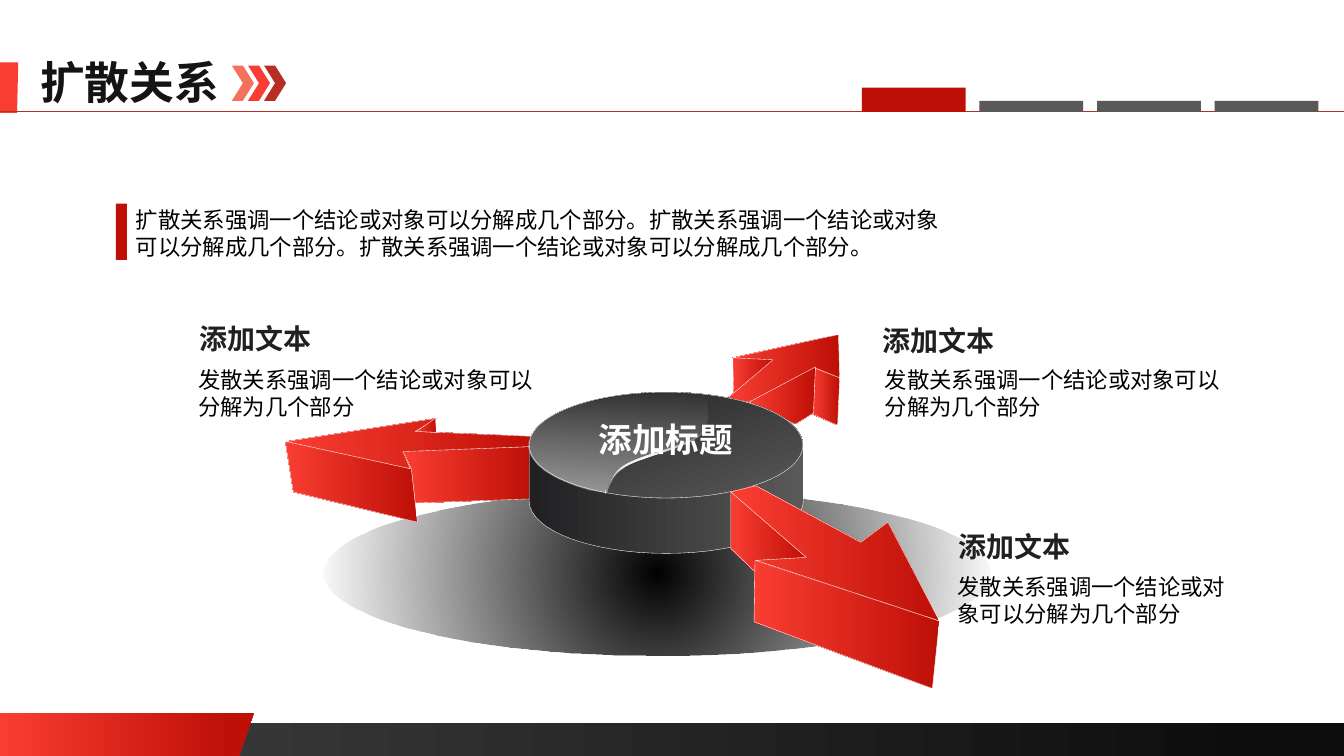
from lxml.etree import SubElement
from pptx import Presentation
from pptx.dml.color import RGBColor
from pptx.enum.shapes import MSO_CONNECTOR, MSO_SHAPE
from pptx.enum.text import MSO_AUTO_SIZE
from pptx.oxml.ns import qn
from pptx.util import Pt

THEME = {
    "font": "Noto Sans CJK SC",
    "red": "BE1007", "bright": "F93D32", "coral": "F5715B", "brick": "B82E24",
    "gray": "595959", "ink": "202022", "title_ink": "141316",
    "black": "000000", "white": "FFFFFF",
    "title": 32, "center": 24, "heading": 20, "body": 16,
    "red_stops": [(0, "BE1007", 100), (100, "F93D32", 100)],
    "tab_stops": [(0, "F93D32", 100), (91, "BE1007", 100)],
    "footer_stops": [(0, "404040", 100), (94, "0D0D0D", 100)],
    "disc_stops": [(0, "202022", 100), (100, "595959", 100)],
    "shadow_stops": [(0, "000000", 100), (100, "000000", 0)],
    "gloss_stops": [(0, "F7F7F7", 0), (100, "FFFFFF", 49)],
    "rim_stops": [(0, "F7F7F7", 0), (48, "FBFBFB", 100), (100, "FFFFFF", 49)],
}

deck = Presentation()
deck.slide_width, deck.slide_height = Pt(960), Pt(540)
page = deck.slides.add_slide(deck.slide_layouts[6])


def paint(shape, fill, angle=None, outlined=False):
    shape.shadow.inherit = False
    if outlined:
        shape.line.color.rgb = RGBColor.from_string(THEME["white"])
        shape.line.width = Pt(0.25)
    else:
        shape.line.fill.background()
    if isinstance(fill, str):
        shape.fill.solid()
        shape.fill.fore_color.rgb = RGBColor.from_string(fill)
        return
    shape.fill.gradient()
    gradient = shape._element.spPr.find(qn("a:gradFill"))
    for child in list(gradient):
        gradient.remove(child)
    stops = SubElement(gradient, qn("a:gsLst"))
    for position, color, opacity in fill:
        stop = SubElement(stops, qn("a:gs"), pos=str(position * 1000))
        tone = SubElement(stop, qn("a:srgbClr"), val=color)
        if opacity < 100:
            SubElement(tone, qn("a:alpha"), val=str(opacity * 1000))
    if angle is None:
        radial = SubElement(gradient, qn("a:path"), path="circle")
        SubElement(radial, qn("a:fillToRect"), l="50000", t="50000", r="50000", b="50000")
    else:
        SubElement(gradient, qn("a:lin"), ang=str(angle * 60000), scaled="0")


def outline(steps):
    points = [steps[0]]
    for step in steps[1:]:
        if len(step) == 2:
            points.append(step)
            continue
        corners = [points[-1], step[:2], step[2:4], step[4:]]
        for t in [index / 16 for index in range(1, 17)]:
            weights = [(1 - t) ** 3, 3 * t * (1 - t) ** 2, 3 * t * t * (1 - t), t ** 3]
            points.append(tuple(sum(w * c[axis] for w, c in zip(weights, corners)) for axis in (0, 1)))
    points = [(x * 100, y * 100) for x, y in points]
    builder = page.shapes.build_freeform(*points[0], scale=Pt(0.01))
    builder.add_line_segments(points[1:], close=True)
    return builder.convert_to_shape()


footer = page.shapes.add_shape(MSO_SHAPE.RECTANGLE, Pt(0), Pt(516.2), Pt(960), Pt(23.8))
paint(footer, THEME["footer_stops"], 0)
paint(outline([(0, 509), (181.4, 509), (170.6, 540), (0, 540)]), THEME["tab_stops"], 0)
paint(outline([(0, 44.6), (13, 44.6), (12.2, 80.6), (0, 80.6)]), THEME["bright"])

shadow = page.shapes.add_shape(MSO_SHAPE.OVAL, Pt(231.1), Pt(350.6), Pt(476.6), Pt(117.4))
paint(shadow, THEME["shadow_stops"])

rule = page.shapes.add_connector(MSO_CONNECTOR.STRAIGHT, Pt(0), Pt(79.9), Pt(960), Pt(79.9))
rule.line.color.rgb = RGBColor.from_string(THEME["brick"])
rule.line.width = Pt(0.5)
SubElement(rule._element.spPr, qn("a:effectLst"))

for index, color in enumerate(("coral", "bright", "brick")):
    chevron = page.shapes.add_shape(
        MSO_SHAPE.CHEVRON, Pt(165.6 + 11.5 * index), Pt(46.8), Pt(15.8), Pt(25.2))
    paint(chevron, THEME[color])

for index, height in enumerate((17.3, 7.9, 7.9, 7.9)):
    marker = page.shapes.add_shape(
        MSO_SHAPE.RECTANGLE, Pt(615.6 + 84 * index), Pt(79.9 - height), Pt(74.2), Pt(height))
    paint(marker, THEME["gray"] if index else THEME["red"])

back_arrows = [
    [(288, 322.6), (379.4, 319), (378.7, 323.3), (378.7, 334.8, 378.7, 345.6, 378, 356.4),
     (296.6, 359.3), (293.8, 334.8)],
    [(203.8, 315.4), (209.5, 351.4), (298.1, 373), (293.8, 334.8)],
    [(204.5, 315.4), (311.8, 298.8), (296.6, 308.2), (382.3, 311.8), (380.2, 319),
     (288, 322.6), (293, 334.8)],
    [(311, 298.8), (311.8, 308.9), (297.4, 308.2)],
    [(523.4, 255.6), (599, 239), (599.8, 270), (582.5, 262.8), (535, 287.3),
     (519.8, 284.4), (551.5, 257)],
    [(523.4, 255.6), (524.2, 280.8), (552.2, 257)],
    [(581.8, 262.8), (580.3, 295.9), (598.3, 303.8), (599.8, 270)],
    [(582.5, 262.1), (535, 287.3), (568.1, 303.1), (581, 295.2)],
]
for face in back_arrows:
    paint(outline(face), THEME["red_stops"], 180, True)

disc_side = [
    (378, 319.7), (378.7, 319.7), (378.7, 321.8),
    (383.8, 340.6, 425.5, 355.7, 475.9, 355.7), (526.3, 355.7, 568.1, 340.6, 573.1, 321.8),
    (573.1, 319.7), (573.8, 319.7), (573.8, 357.8),
    (573.8, 378.7, 529.9, 395.3, 475.9, 395.3), (421.9, 395.3, 378, 378.7, 378, 357.8),
]
paint(outline(disc_side), THEME["disc_stops"], 0, True)
disc_top = page.shapes.add_shape(MSO_SHAPE.OVAL, Pt(378), Pt(280.1), Pt(195.5), Pt(75.6))
paint(disc_top, THEME["disc_stops"], 70, True)

gloss = [
    (475.2, 280.8), (481.7, 280.8, 488.2, 280.8, 494.6, 281.5), (504, 282.2), (504.7, 288),
    (506.2, 295.2, 505.4, 302.4, 502.6, 307.4), (495.4, 320.4, 457.9, 324.7, 444.2, 334.8),
    (438.5, 339.1, 435.6, 344.9, 433.4, 351.4), (432.7, 352.1), (420.5, 349.9),
    (394.6, 342.7, 377.3, 331.2, 377.3, 318.2), (377.3, 297.4, 421.2, 280.8, 475.2, 280.8),
]
paint(outline(gloss), THEME["gloss_stops"], 100)
rim = [
    (503.3, 306), (503.3, 307.4), (495.4, 321.1, 457.9, 325.4, 444.2, 335.5),
    (438.5, 339.1, 435.6, 345.6, 433.4, 351.4), (433.4, 352.8), (432.7, 352.8),
    (432.7, 349.9), (433.4, 349.9), (434.2, 349.2),
    (436.3, 343.4, 439.2, 337, 444.2, 333.4), (457.2, 324, 487.4, 319.7, 499.7, 310.3),
]
paint(outline(rim), THEME["rim_stops"], 100)

texts = [
    (21.6, 35.3, 144, 46.1, "title", "title_ink", ["扩散关系"]),
    (623.5, 227.5, 95, 31.7, "heading", "ink", ["添加文本"]),
    (677.5, 374.4, 95, 31.7, "heading", "ink", ["添加文本"]),
    (135.4, 226.1, 95, 31.7, "heading", "ink", ["添加文本"]),
    (134.6, 257.8, 257, 46.1, "body", "black", ["发散关系强调一个结论或对象可以", "分解为几个部分"]),
    (625, 257.8, 257, 46.1, "body", "black", ["发散关系强调一个结论或对象可以", "分解为几个部分"]),
    (676.8, 405.4, 208.1, 46.1, "body", "black", ["发散关系强调一个结论或对", "象可以分解为几个部分"]),
    (420.5, 295.2, 111.6, 36, "center", "white", ["添加标题"]),
    (90, 143.3, 596.2, 46.1, "body", "black",
     ["扩散关系强调一个结论或对象可以分解成几个部分。扩散关系强调一个结论或对象",
      "可以分解成几个部分。扩散关系强调一个结论或对象可以分解成几个部分。"]),
]
for left, top, width, height, role, color, lines in texts:
    box = page.shapes.add_textbox(Pt(left), Pt(top), Pt(width), Pt(height))
    frame = box.text_frame
    frame.word_wrap = False
    frame.auto_size = MSO_AUTO_SIZE.SHAPE_TO_FIT_TEXT
    style = {"size": Pt(THEME[role]), "bold": role != "body", "name": THEME["font"]}
    for index, line in enumerate(lines):
        para = frame.add_paragraph() if index else frame.paragraphs[0]
        para.line_spacing = Pt(round(THEME[role] * 1.21, 1))
        span = para.add_run()
        span.text = line
        for attribute, value in style.items():
            setattr(span.font, attribute, value)
        span.font.color.rgb = RGBColor.from_string(THEME[color])
        SubElement(span._r.get_or_add_rPr(), qn("a:ea"), typeface=THEME["font"])

accent = page.shapes.add_shape(MSO_SHAPE.RECTANGLE, Pt(82.8), Pt(145.4), Pt(7.9), Pt(40.3))
paint(accent, THEME["red"])

front_arrow = [
    [(522, 351.4), (522, 391.7), (573.1, 441.4), (576, 397.4)],
    [(539.3, 400.3), (538.6, 444.2), (666, 491.8), (671, 443.5)],
    [(522, 351.4), (576, 398.2), (540, 400.3), (671, 443.5), (634.3, 373),
     (614.9, 387.4), (540, 347)],
]
for face in front_arrow:
    paint(outline(face), THEME["red_stops"], 180, True)

deck.save("out.pptx")
